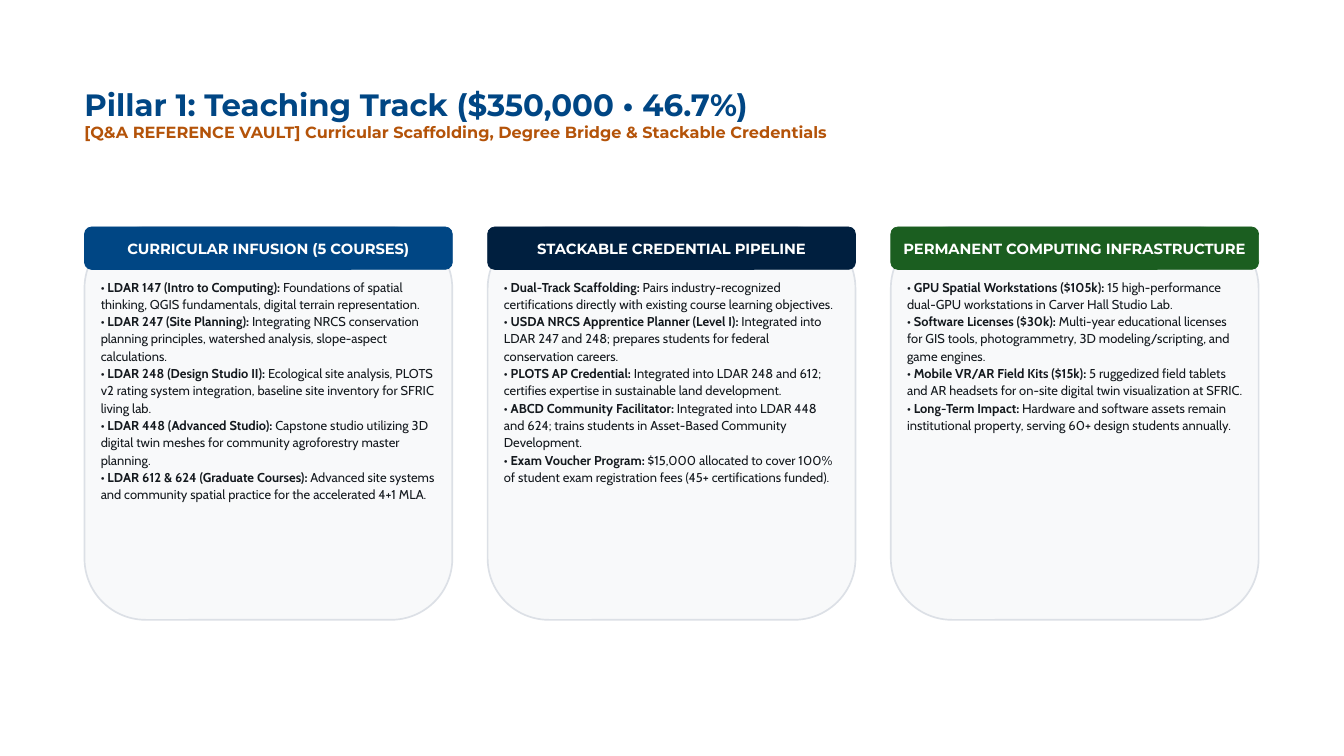
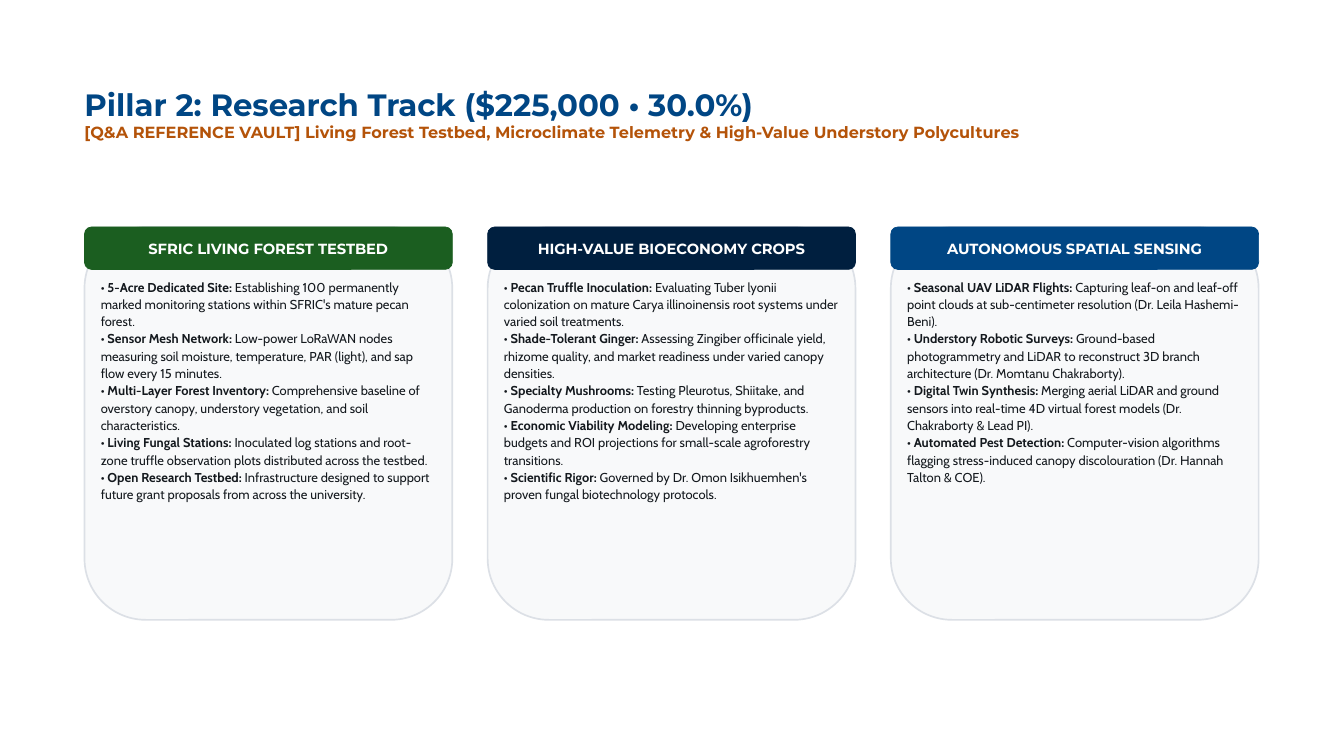
from pptx import Presentation
from pptx.dml.color import RGBColor
from pptx.enum.shapes import MSO_SHAPE as Shape
from pptx.enum.text import MSO_ANCHOR as Anchor, MSO_AUTO_SIZE as AutoSize, PP_ALIGN as Align
from pptx.util import Cm, Pt

COLORS = {
    "blue": "004684",
    "navy": "001F3F",
    "green": "1B5E20",
    "amber": "B45309",
    "ink": "14191E",
    "card": "F8F9FA",
    "border": "DCE0E6",
    "white": "FFFFFF",
}

FORMATS = {
    "title": {"name": "Montserrat", "size": Pt(22), "bold": True},
    "subtitle": {"name": "Montserrat", "size": Pt(11.5), "bold": True},
    "header": {"name": "Montserrat", "size": Pt(10.5), "bold": True},
    "term": {"name": "Cabin", "size": Pt(9.2), "bold": True},
    "detail": {"name": "Cabin", "size": Pt(9.2), "bold": False},
}

# Grid, in centimetres
LEFT, TITLE_TOP, TITLE_WIDTH, TITLE_HEIGHT = 2.13, 2.16, 29.6, 2.92
CARD_TOP, CARD_WIDTH, CARD_HEIGHT, CARD_PITCH = 5.72, 9.27, 9.9, 10.16
HEADER_HEIGHT = 1.07
BODY_INSET, BODY_TOP, BODY_HEIGHT = 0.41, 6.99, 8.48
BODY_WIDTH = CARD_WIDTH - 2 * BODY_INSET

# Each slide: title, subtitle, cards; each card: header, colour, (term, detail) pairs
SLIDES = [
    (
        "Pillar 1: Teaching Track ($350,000 • 46.7%)",
        "[Q&A REFERENCE VAULT] Curricular Scaffolding, Degree Bridge & Stackable Credentials",
        [
            ("CURRICULAR INFUSION (5 COURSES)", "blue", [
                ("LDAR 147 (Intro to Computing)",
                 "Foundations of spatial thinking, QGIS fundamentals, digital terrain representation."),
                ("LDAR 247 (Site Planning)",
                 "Integrating NRCS conservation planning principles, watershed analysis, "
                 "slope-aspect calculations."),
                ("LDAR 248 (Design Studio II)",
                 "Ecological site analysis, PLOTS v2 rating system integration, "
                 "baseline site inventory for SFRIC living lab."),
                ("LDAR 448 (Advanced Studio)",
                 "Capstone studio utilizing 3D digital twin meshes for community "
                 "agroforestry master planning."),
                ("LDAR 612 & 624 (Graduate Courses)",
                 "Advanced site systems and community spatial practice for the accelerated 4+1 MLA."),
            ]),
            ("STACKABLE CREDENTIAL PIPELINE", "navy", [
                ("Dual-Track Scaffolding",
                 "Pairs industry-recognized certifications directly with existing "
                 "course learning objectives."),
                ("USDA NRCS Apprentice Planner (Level I)",
                 "Integrated into LDAR 247 and 248; prepares students for federal "
                 "conservation careers."),
                ("PLOTS AP Credential",
                 "Integrated into LDAR 248 and 612; certifies expertise in sustainable "
                 "land development."),
                ("ABCD Community Facilitator",
                 "Integrated into LDAR 448 and 624; trains students in Asset-Based "
                 "Community Development."),
                ("Exam Voucher Program",
                 "$15,000 allocated to cover 100% of student exam registration fees "
                 "(45+ certifications funded)."),
            ]),
            ("PERMANENT COMPUTING INFRASTRUCTURE", "green", [
                ("GPU Spatial Workstations ($105k)",
                 "15 high-performance dual-GPU workstations in Carver Hall Studio Lab."),
                ("Software Licenses ($30k)",
                 "Multi-year educational licenses for GIS tools, photogrammetry, "
                 "3D modeling/scripting, and game engines."),
                ("Mobile VR/AR Field Kits ($15k)",
                 "5 ruggedized field tablets and AR headsets for on-site digital twin "
                 "visualization at SFRIC."),
                ("Long-Term Impact",
                 "Hardware and software assets remain institutional property, serving "
                 "60+ design students annually."),
            ]),
        ],
    ),
    (
        "Pillar 2: Research Track ($225,000 • 30.0%)",
        "[Q&A REFERENCE VAULT] Living Forest Testbed, Microclimate Telemetry "
        "& High-Value Understory Polycultures",
        [
            ("SFRIC LIVING FOREST TESTBED", "green", [
                ("5-Acre Dedicated Site",
                 "Establishing 100 permanently marked monitoring stations within "
                 "SFRIC's mature pecan forest."),
                ("Sensor Mesh Network",
                 "Low-power LoRaWAN nodes measuring soil moisture, temperature, "
                 "PAR (light), and sap flow every 15 minutes."),
                ("Multi-Layer Forest Inventory",
                 "Comprehensive baseline of overstory canopy, understory vegetation, "
                 "and soil characteristics."),
                ("Living Fungal Stations",
                 "Inoculated log stations and root-zone truffle observation plots "
                 "distributed across the testbed."),
                ("Open Research Testbed",
                 "Infrastructure designed to support future grant proposals from "
                 "across the university."),
            ]),
            ("HIGH-VALUE BIOECONOMY CROPS", "navy", [
                ("Pecan Truffle Inoculation",
                 "Evaluating Tuber lyonii colonization on mature Carya illinoinensis "
                 "root systems under varied soil treatments."),
                ("Shade-Tolerant Ginger",
                 "Assessing Zingiber officinale yield, rhizome quality, and market "
                 "readiness under varied canopy densities."),
                ("Specialty Mushrooms",
                 "Testing Pleurotus, Shiitake, and Ganoderma production on forestry "
                 "thinning byproducts."),
                ("Economic Viability Modeling",
                 "Developing enterprise budgets and ROI projections for small-scale "
                 "agroforestry transitions."),
                ("Scientific Rigor",
                 "Governed by Dr. Omon Isikhuemhen's proven fungal biotechnology protocols."),
            ]),
            ("AUTONOMOUS SPATIAL SENSING", "blue", [
                ("Seasonal UAV LiDAR Flights",
                 "Capturing leaf-on and leaf-off point clouds at sub-centimeter "
                 "resolution (Dr. Leila Hashemi-Beni)."),
                ("Understory Robotic Surveys",
                 "Ground-based photogrammetry and LiDAR to reconstruct 3D branch "
                 "architecture (Dr. Momtanu Chakraborty)."),
                ("Digital Twin Synthesis",
                 "Merging aerial LiDAR and ground sensors into real-time 4D virtual "
                 "forest models (Dr. Chakraborty & Lead PI)."),
                ("Automated Pest Detection",
                 "Computer-vision algorithms flagging stress-induced canopy "
                 "discolouration (Dr. Hannah Talton & COE)."),
            ]),
        ],
    ),
]


def rgb(color):
    return RGBColor.from_string(COLORS[color])


def add_run(paragraph, text, style, color):
    run = paragraph.add_run()
    run.text = text
    for attribute, value in FORMATS[style].items():
        setattr(run.font, attribute, value)
    run.font.color.rgb = rgb(color)


def add_text_frame(slide, left, top, width, height):
    """Add a wrapping text box without margins and return its text frame."""
    frame = slide.shapes.add_textbox(Cm(left), Cm(top), Cm(width), Cm(height)).text_frame
    settings = {
        "word_wrap": True,
        "auto_size": AutoSize.SHAPE_TO_FIT_TEXT,
        "margin_left": 0,
        "margin_top": 0,
        "margin_right": 0,
        "margin_bottom": 0,
    }
    for attribute, value in settings.items():
        setattr(frame, attribute, value)
    return frame


def add_panel(slide, left, height, fill, border, border_width):
    panel = slide.shapes.add_shape(
        Shape.ROUNDED_RECTANGLE, Cm(left), Cm(CARD_TOP), Cm(CARD_WIDTH), Cm(height))
    panel.shadow.inherit = False
    panel.fill.solid()
    panel.fill.fore_color.rgb = rgb(fill)
    panel.line.color.rgb = rgb(border)
    panel.line.width = Pt(border_width)
    return panel


def add_heading(slide, title, subtitle):
    frame = add_text_frame(slide, LEFT, TITLE_TOP, TITLE_WIDTH, TITLE_HEIGHT)
    add_run(frame.paragraphs[0], title, "title", "blue")
    add_run(frame.add_paragraph(), subtitle, "subtitle", "amber")


def add_card(slide, left, header, color, points):
    add_panel(slide, left, CARD_HEIGHT, "card", "border", 1.2)

    header_frame = add_panel(slide, left, HEADER_HEIGHT, color, color, 0.5).text_frame
    header_frame.word_wrap = True
    header_frame.vertical_anchor = Anchor.MIDDLE
    header_line = header_frame.paragraphs[0]
    header_line.alignment = Align.CENTER
    add_run(header_line, header, "header", "white")

    body = add_text_frame(slide, left + BODY_INSET, BODY_TOP, BODY_WIDTH, BODY_HEIGHT)
    for index, (term, detail) in enumerate(points):
        point = body.add_paragraph() if index else body.paragraphs[0]
        point.line_spacing = 1.12
        add_run(point, f"• {term}:", "term", "ink")
        add_run(point, f" {detail}", "detail", "ink")


def main():
    deck = Presentation()
    deck.slide_width, deck.slide_height = Cm(33.87), Cm(19.05)
    blank = deck.slide_layouts[6]
    for title, subtitle, cards in SLIDES:
        slide = deck.slides.add_slide(blank)
        add_heading(slide, title, subtitle)
        for column, card in enumerate(cards):
            add_card(slide, LEFT + column * CARD_PITCH, *card)
    deck.save("out.pptx")


if __name__ == "__main__":
    main()
